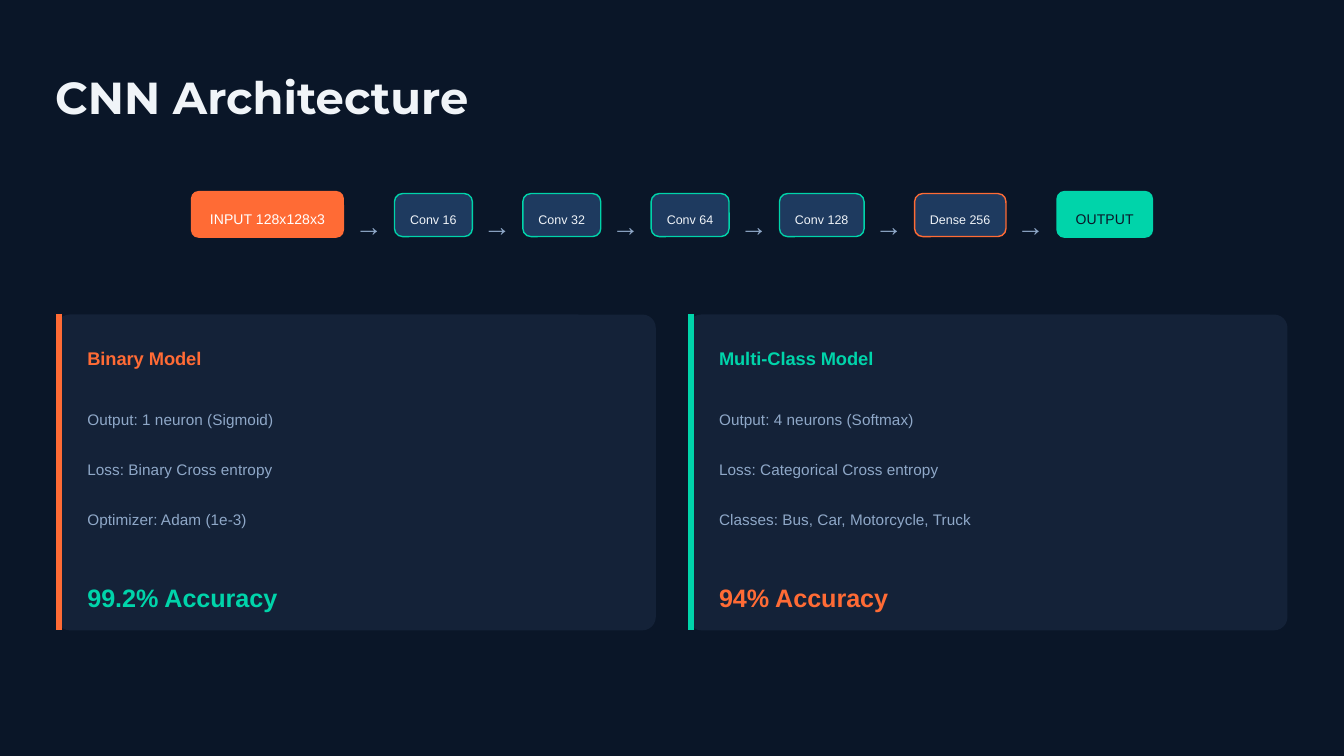
"""Build the CNN architecture slide: a layer pipeline above two model cards."""
import pptx
import pptx.dml.color
import pptx.enum.shapes
import pptx.enum.text
import pptx.oxml.ns
import pptx.util
from lxml import etree
from pptx.util import Inches, Pt

NAVY, CARD, LAYER = "0A1628", "142238", "1E3A5F"
WHITE, PALE, MUTED = "FFFFFF", "F0F4F8", "8FA8C8"
ORANGE, TEAL = "FF6B35", "00D4AA"

SLIDE_WIDTH = 10
SLIDE_HEIGHT = SLIDE_WIDTH * 9 / 16
TITLE = "CNN Architecture"

END_STYLE = {"top": 1.42, "height": 0.35, "pad": 0.13, "text_top": 1.52, "size": 7.5}
LAYER_STYLE = {"top": 1.44, "height": 0.32, "pad": 0.1, "text_top": 1.53, "size": 6.75}
STEPS = [
    ("INPUT 128x128x3", 1.14, ORANGE, None, WHITE, END_STYLE),
    ("Conv 16", 0.58, LAYER, TEAL, PALE, LAYER_STYLE),
    ("Conv 32", 0.58, LAYER, TEAL, PALE, LAYER_STYLE),
    ("Conv 64", 0.58, LAYER, TEAL, PALE, LAYER_STYLE),
    ("Conv 128", 0.63, LAYER, TEAL, PALE, LAYER_STYLE),
    ("Dense 256", 0.68, LAYER, ORANGE, PALE, LAYER_STYLE),
    ("OUTPUT", 0.72, TEAL, None, NAVY, END_STYLE),
]
PIPELINE_LEFT = 1.42
STEP_RADIUS = 0.06

CARDS = [
    ("Binary Model", ORANGE, TEAL, "99.2% Accuracy",
     ["Output: 1 neuron (Sigmoid)", "Loss: Binary Cross entropy", "Optimizer: Adam (1e-3)"]),
    ("Multi-Class Model", TEAL, ORANGE, "94% Accuracy",
     ["Output: 4 neurons (Softmax)", "Loss: Categorical Cross entropy",
      "Classes: Bus, Car, Motorcycle, Truck"]),
]
CARD_LEFT, CARD_TOP, CARD_WIDTH, CARD_HEIGHT = 0.42, 2.34, 4.46, 2.35
CARD_RADIUS = 0.1
CARD_TEXT_WIDTH = 4.12


def rgb(value):
    return pptx.dml.color.RGBColor.from_string(value)


def add_text(page, text, left, top, width, height, size, color,
             bold=False, font="Arial", spacing=1.4, centred=False):
    box = page.shapes.add_textbox(Inches(left), Inches(top), Inches(width), Inches(height))
    frame = box.text_frame
    frame.margin_left = frame.margin_right = frame.margin_top = frame.margin_bottom = 0
    frame.word_wrap = False
    para = frame.paragraphs[0]
    para.text = text
    para.line_spacing = spacing
    align = pptx.enum.text.PP_ALIGN
    para.alignment = align.CENTER if centred else align.LEFT
    para.font.name = font
    para.font.size = Pt(size)
    para.font.bold = bold
    para.font.color.rgb = rgb(color)


def add_panel(page, left, top, width, height, radius, fill, line=None):
    panel = page.shapes.add_shape(
        pptx.enum.shapes.MSO_SHAPE.ROUNDED_RECTANGLE,
        Inches(left), Inches(top), Inches(width), Inches(height))
    panel.adjustments[0] = radius / min(width, height)
    panel.shadow.inherit = False
    panel.fill.solid()
    panel.fill.fore_color.rgb = rgb(fill)
    if line:
        panel.line.color.rgb = rgb(line)
        panel.line.width = Pt(0.75)
    else:
        panel.line.fill.background()


def add_accent(page, left, top, height, color):
    accent = page.shapes.add_connector(
        pptx.enum.shapes.MSO_CONNECTOR.STRAIGHT,
        Inches(left), Inches(top), Inches(left), Inches(top + height))
    accent.line.color.rgb = rgb(color)
    accent.line.width = Pt(3)
    etree.SubElement(accent._element.spPr, pptx.oxml.ns.qn("a:effectLst"))


def add_pipeline(page):
    total = sum(step[1] for step in STEPS)
    gap = (SLIDE_WIDTH - 2 * PIPELINE_LEFT - total) / (len(STEPS) - 1)
    left = PIPELINE_LEFT
    for index, (label, width, fill, line, color, style) in enumerate(STEPS):
        if index:
            add_text(page, "→", left - gap + 0.08, 1.45, 0.21, 0.29, 15, MUTED)
        add_panel(page, left, style["top"], width, style["height"], STEP_RADIUS, fill, line)
        add_text(page, label, left + style["pad"], style["text_top"],
                 width - 2 * style["pad"], 0.14, style["size"], color, centred=True)
        left += width + gap


def add_card(page, left, heading, accent, score_color, score, details):
    add_panel(page, left, CARD_TOP, CARD_WIDTH, CARD_HEIGHT, CARD_RADIUS, CARD)
    add_accent(page, left + 0.02, CARD_TOP, CARD_HEIGHT, accent)
    text_left = left + 0.23
    add_text(page, heading, text_left, 2.52, CARD_TEXT_WIDTH, 0.19, 9.75, accent, bold=True)
    for row, detail in enumerate(details):
        add_text(page, detail, text_left, 3 + row * 0.37, CARD_TEXT_WIDTH, 0.16, 8.25, MUTED)
    add_text(page, score, text_left, 4.24, CARD_TEXT_WIDTH, 0.26, 13.5, score_color, bold=True)


def main():
    deck = pptx.Presentation()
    deck.slide_width, deck.slide_height = Inches(SLIDE_WIDTH), Inches(SLIDE_HEIGHT)
    page = deck.slides.add_slide(deck.slide_layouts[6])
    page.background.fill.solid()
    page.background.fill.fore_color.rgb = rgb(NAVY)
    add_text(page, TITLE, 0.41, 0.52, 4.69, 0.33, 24, PALE,
             bold=True, font="Montserrat", spacing=1.0)
    add_pipeline(page)
    pitch = SLIDE_WIDTH - 2 * CARD_LEFT - CARD_WIDTH
    for index, card in enumerate(CARDS):
        add_card(page, CARD_LEFT + index * pitch, *card)
    deck.save("out.pptx")


if __name__ == "__main__":
    main()
